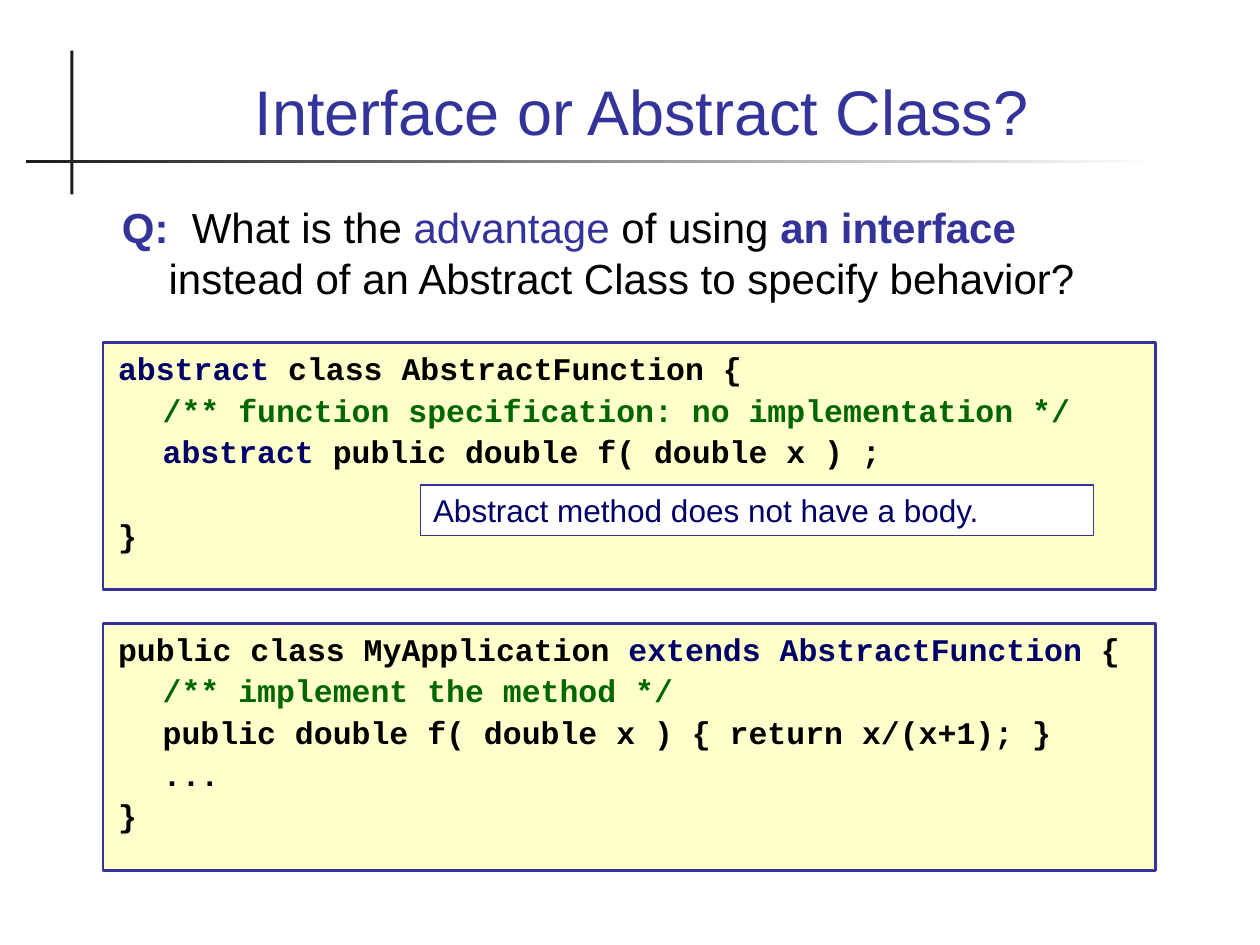
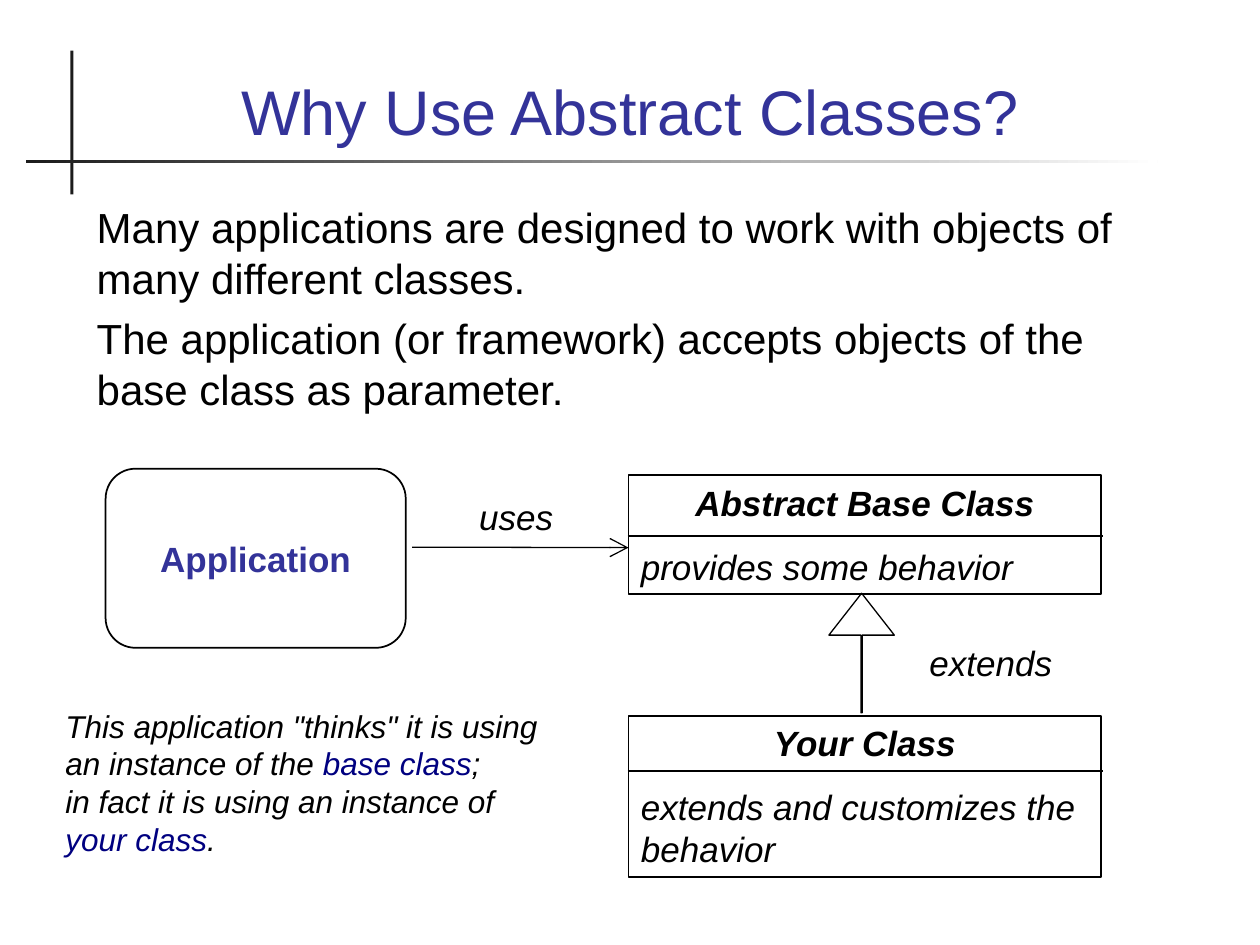
import pptx
import pptx.dml.color
import pptx.enum.shapes
import pptx.enum.text
import pptx.oxml
import pptx.oxml.ns
import pptx.util
from pptx.util import Cm

NAVY = "333399"
DARK_BLUE = "000066"
LINK_BLUE = "000080"
GREEN = "006600"
BLACK = "000000"
WHITE = "FFFFFF"
CREAM = "FFFFCC"
CHARCOAL = "1C1C1C"

RECTANGLE = pptx.enum.shapes.MSO_SHAPE.RECTANGLE
ROUNDED = pptx.enum.shapes.MSO_SHAPE.ROUNDED_RECTANGLE
UP_ARROW = pptx.enum.shapes.MSO_SHAPE.UP_ARROW
LEFT = pptx.enum.text.PP_ALIGN.LEFT
CENTER = pptx.enum.text.PP_ALIGN.CENTER
TOP = pptx.enum.text.MSO_ANCHOR.TOP
MIDDLE = pptx.enum.text.MSO_ANCHOR.MIDDLE


def color(hex_string):
    return pptx.dml.color.RGBColor.from_string(hex_string)


def add_box(slide, place, paragraphs, size=20, font="Arial", style="", gap=0,
            align=LEFT, kind=None, fill=None, line=None, width=1, anchor=TOP):
    """Add a text box, or a preset shape; a run is (text, colour[, style])."""
    place = [Cm(value) for value in place]
    if kind is None:
        shape = slide.shapes.add_textbox(*place)
    else:
        shape = slide.shapes.add_shape(kind, *place)
        shape.shadow.inherit = False
        if fill:
            shape.fill.solid()
            shape.fill.fore_color.rgb = color(fill)
        else:
            shape.fill.background()
        shape.line.color.rgb = color(line)
        shape.line.width = pptx.util.Pt(width)
    frame = shape.text_frame
    frame.word_wrap = True
    frame.vertical_anchor = anchor
    for index, runs in enumerate(paragraphs):
        paragraph = frame.add_paragraph() if index else frame.paragraphs[0]
        paragraph.alignment = align
        paragraph.line_spacing = pptx.util.Pt(size * 1.2)
        if index:
            paragraph.space_before = pptx.util.Pt(gap)
        for text, text_color, *run_style in runs:
            if text == "\n":
                paragraph.add_line_break()
                continue
            run = paragraph.add_run()
            run.text = text
            run.font.name = font
            run.font.size = pptx.util.Pt(size)
            run.font.color.rgb = color(text_color)
            run.font.bold = "b" in (run_style[0] if run_style else style)
            run.font.italic = "i" in (run_style[0] if run_style else style)
    return shape


presentation = pptx.Presentation()
presentation.slide_width = Cm(25.4)
presentation.slide_height = Cm(19.05)
layout = presentation.slide_layouts.get_by_name("Title Only")

# Titles
slides = []
for title_text, title_width in [("Interface or Abstract Class?", 22.48),
                                ("Why Use Abstract Classes?", 22)]:
    slide = presentation.slides.add_slide(layout)
    title = slide.shapes.title
    title.left, title.top = Cm(1.7), Cm(0.71)
    title.width, title.height = Cm(title_width), Cm(2.41)
    title.text_frame.text = title_text
    title.text_frame.vertical_anchor = pptx.enum.text.MSO_ANCHOR.BOTTOM
    paragraph = title.text_frame.paragraphs[0]
    paragraph.alignment = CENTER
    paragraph.runs[0].font.name = "Arial"
    paragraph.runs[0].font.size = pptx.util.Pt(36)
    paragraph.runs[0].font.color.rgb = color(NAVY)
    slides.append(slide)
question_slide, reason_slide = slides

# Crossed rules, moved to the shared layout
for place, fades in [((1.42, 1.02, 0.06, 2.9), False), ((0.53, 3.23, 22.81, 0.05), True)]:
    rule = question_slide.shapes.add_shape(RECTANGLE, *[Cm(value) for value in place])
    rule.shadow.inherit = False
    rule.line.fill.background()
    if fades:
        rule.fill.gradient()
        rule.fill.gradient_angle = 0
        for stop, stop_color in zip(rule.fill.gradient_stops, (CHARCOAL, WHITE)):
            stop.color.rgb = color(stop_color)
    else:
        rule.fill.solid()
        rule.fill.fore_color.rgb = color(CHARCOAL)
    layout.shapes.element.append(rule.element)

# Slide 1: the question, with a hanging indent and a wider space after "Q:"
question = add_box(question_slide, (2.18, 3.94, 21.03, 2.29), [[
    ("Q:", NAVY, "b"), (" ", BLACK), ("What is the ", BLACK), ("advantage ", NAVY),
    ("of using ", BLACK), ("an interface", NAVY, "b"),
    (" instead of an Abstract Class to specify behavior?", BLACK)]], size=24)
paragraph = question.text_frame.paragraphs[0]
properties = paragraph._p.get_or_add_pPr()
properties.set("marL", str(Cm(0.97)))
properties.set("indent", str(Cm(-0.94)))
paragraph.runs[1]._r.get_or_add_rPr().set("spc", "660")

# Slide 1: code boxes, whose inner lines are indented
abstract_code = [
    [("abstract", DARK_BLUE), (" class AbstractFunction {", BLACK)],
    [("/** function specification: no implementation */", GREEN)],
    [("abstract", DARK_BLUE), (" public double f( double x ) ;", BLACK)],
    [("}", BLACK)]]
application_code = [
    [("public class MyApplication ", BLACK), ("extends AbstractFunction", DARK_BLUE),
     (" {", BLACK)],
    [("/** implement the method */", GREEN)],
    [("public double f( double x ) { return x/(x+1); }", BLACK)],
    [("...", BLACK)],
    [("}", BLACK)]]
code_boxes = []
for top, code in [(6.91, abstract_code), (12.57, application_code)]:
    code_box = add_box(question_slide, (2.08, top, 21.21, 4.98), code, size=18,
                       font="Courier New", style="b", gap=2.2, kind=RECTANGLE,
                       fill=CREAM, line=NAVY, width=1.5)
    last = len(code) - 1
    for index, paragraph in enumerate(code_box.text_frame.paragraphs):
        margin = 0.95 if 0 < index < last else 0.05
        paragraph._p.get_or_add_pPr().set("marL", str(Cm(margin)))
    code_boxes.append(code_box)
# Room for the callout above the closing brace
code_boxes[0].text_frame.paragraphs[-1].space_before = pptx.util.Pt(26)

add_box(question_slide, (8.48, 9.78, 13.56, 1.02),
        [[("Abstract method does not have a body.", DARK_BLUE)]],
        size=18, kind=RECTANGLE, fill=WHITE, line=NAVY, width=0.75)

# Slide 2: body text
add_box(reason_slide, (1.7, 3.94, 22, 5.03), [
    [("Many applications are designed to work with objects of many different classes.",
      BLACK)],
    [("The application (or framework) accepts objects of the base class as parameter.",
      BLACK)]], size=24, gap=6)

# Slide 2: class boxes
for top, height, name, behavior in [
        (9.58, 2.39, "Abstract Base Class", "provides some behavior"),
        (14.43, 3.25, "Your Class", "extends and customizes the behavior")]:
    class_box = add_box(reason_slide, (12.67, top, 9.53, height),
                        [[(name, BLACK, "bi")], [(behavior, BLACK, "i")]],
                        gap=12.5, kind=RECTANGLE, line=BLACK)
    class_box.text_frame.paragraphs[0].alignment = CENTER

# Slide 2: application, inheritance arrow and labels
add_box(reason_slide, (2.13, 9.45, 6.05, 3.61), [[("Application", NAVY)]], style="b",
        align=CENTER, kind=ROUNDED, line=BLACK, anchor=MIDDLE)
inheritance = add_box(reason_slide, (16.71, 11.96, 1.32, 2.41), [], kind=UP_ARROW,
                      line=BLACK, width=0.75)
inheritance.adjustments[0] = 0.02
inheritance.adjustments[1] = 0.64
for left, top, label in [(8.74, 9.86, "uses"), (18.31, 12.8, "extends")]:
    add_box(reason_slide, (left, top, 3.33, 1.12), [[(label, BLACK)]], style="i",
            align=CENTER)

# Slide 2: class dividers and the "uses" arrow
for start_x, start_y, end_x, end_y, width, has_arrow in [
        (12.65, 10.8, 22.23, 10.8, 1, False),
        (12.65, 15.54, 22.23, 15.54, 1, False),
        (8.31, 11.03, 12.67, 11.04, 0.75, True)]:
    connector = reason_slide.shapes.add_connector(
        pptx.enum.shapes.MSO_CONNECTOR.STRAIGHT,
        Cm(start_x), Cm(start_y), Cm(end_x), Cm(end_y))
    connector.line.color.rgb = color(BLACK)
    connector.line.width = pptx.util.Pt(width)
    if has_arrow:
        head = pptx.oxml.parse_xml(
            f'<a:tailEnd {pptx.oxml.ns.nsdecls("a")} type="arrow" w="lg" len="lg"/>')
        connector.line._get_or_add_ln().append(head)
    connector.element.spPr.append(
        pptx.oxml.parse_xml(f'<a:effectLst {pptx.oxml.ns.nsdecls("a")}/>'))

# Slide 2: remark
add_box(reason_slide, (1.07, 14.12, 10.39, 3.3), [[
    ("This application \"thinks\" it is using an instance of the ", BLACK),
    ("base class", LINK_BLUE), ("; ", BLACK), ("\n", BLACK),
    ("in fact it is using an instance of ", BLACK),
    ("your class", LINK_BLUE), (".", BLACK)]], size=18, style="i")

presentation.save("out.pptx")
